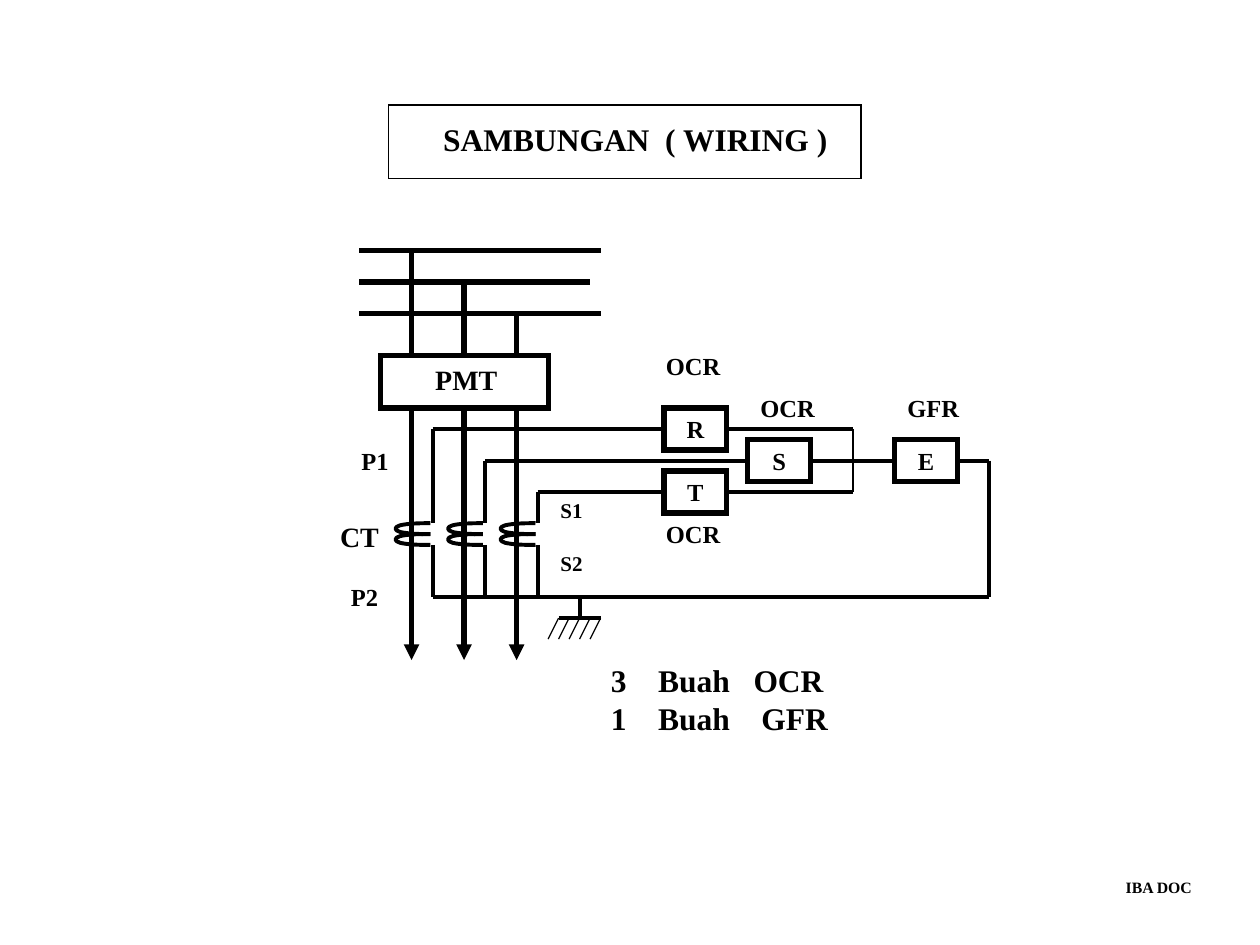
from dataclasses import dataclass

from pptx import Presentation
from pptx.dml.color import RGBColor
from pptx.enum.shapes import MSO_CONNECTOR as Connector, MSO_SHAPE as Shape
from pptx.enum.text import MSO_ANCHOR as Anchor, MSO_AUTO_SIZE as AutoSize, PP_ALIGN as Align
from pptx.oxml.ns import qn
from pptx.oxml.xmlchemy import OxmlElement
from pptx.util import Pt


@dataclass(frozen=True)
class Theme:
    ink: RGBColor = RGBColor(0, 0, 0)
    font: str = "Times New Roman"
    title: int = 18
    large: int = 16
    label: int = 14
    small: int = 12
    footer: int = 9
    bus: float = 3
    wire: float = 2.25
    thin: float = 0.75


THEME = Theme()

# Horizontal positions in points
PHASES = [235.2 + 30 * i for i in range(3)]
SECONDARY_OFFSET = 12
OCR_X, OCR_S_X, GFR_X = 379.4, 427.2, 511.2
JUNCTION_X, RETURN_X, GROUND_X = 487.4, 565.2, 331.2

# Vertical positions in points
BUSES = [143.2 + 18 * i for i in range(3)]
BREAKER_TOP, BREAKER_BOTTOM, FEEDER_END = 203.2, 233.2, 377.2
SECONDARIES = [245.2 + 18 * i for i in range(3)]
COIL_TOP, TURN = 299, 6.2
COIL_BOTTOM = COIL_TOP + 2 * TURN
NEUTRAL_Y, GROUND_Y, HATCH_Y = 341.2, 353.2, 365.2
RELAY_WIDTH, RELAY_HEIGHT = 36, 24

# Start point, then three cubic curves, relative to the phase line and turn top
TURN_CURVE = [
    (10.8, 6.2),
    (3.6, 6.3), (-2.9, 5.9), (-6.5, 5),
    (-10.1, 4), (-10.1, 2.2), (-6.5, 1.2),
    (-2.9, 0.3), (3.6, -0.1), (10.8, 0),
]


def style_line(line, weight):
    line.color.rgb = THEME.ink
    line.width = Pt(weight)


def style_text(paragraph, size):
    font = paragraph.font
    font.name, font.size, font.bold = THEME.font, Pt(size), True
    font.color.rgb = THEME.ink


def add_line(slide, start, end, weight=THEME.wire, arrow=False):
    connector = slide.shapes.add_connector(
        Connector.STRAIGHT, *(Pt(value) for value in (*start, *end)))
    style_line(connector.line, weight)
    properties = connector._element.spPr
    if arrow:
        tail = OxmlElement("a:tailEnd")
        tail.set("type", "triangle")
        properties.get_or_add_ln().append(tail)
    properties.append(OxmlElement("a:effectLst"))


def add_box(slide, bounds, text, size, weight=THEME.bus, left_inset=None, bottom_inset=0):
    """Add an outlined box; its text is centred unless a left inset is given."""
    shape = slide.shapes.add_shape(Shape.RECTANGLE, *(Pt(value) for value in bounds))
    shape.shadow.inherit = False
    shape.fill.background()
    style_line(shape.line, weight)
    miter = OxmlElement("a:miter")
    miter.set("lim", "800000")
    shape._element.spPr.get_or_add_ln().append(miter)
    frame = shape.text_frame
    frame.word_wrap = False
    frame.vertical_anchor = Anchor.MIDDLE
    frame.margin_top, frame.margin_bottom = 0, Pt(bottom_inset)
    paragraph = frame.paragraphs[0]
    paragraph.text = text
    paragraph.alignment = Align.CENTER
    if left_inset is not None:
        frame.margin_left = Pt(left_inset)
        paragraph.alignment = Align.LEFT
    style_text(paragraph, size)


def add_label(slide, left, top, width, text, size=THEME.label):
    box = slide.shapes.add_textbox(Pt(left), Pt(top), Pt(width), Pt(1.2 * size + 7.2))
    frame = box.text_frame
    frame.word_wrap = False
    frame.auto_size = AutoSize.SHAPE_TO_FIT_TEXT
    frame.margin_right = Pt(2)
    frame.text = text
    style_text(frame.paragraphs[0], size)


def add_tab_stops(paragraph, stops):
    tab_list = OxmlElement("a:tabLst")
    for stop in stops:
        tab = OxmlElement("a:tab")
        tab.set("pos", str(Pt(stop)))
        tab.set("algn", "l")
        tab_list.append(tab)
    paragraph._p.get_or_add_pPr().append(tab_list)


def add_summary(slide):
    box = slide.shapes.add_textbox(Pt(342), Pt(374.4), Pt(210.2), Pt(50.4))
    frame = box.text_frame
    frame.word_wrap = True
    rows = [("3\tBuah\tOCR", 81.5), ("1\tBuah\tGFR", 86)]
    for index, (text, last_stop) in enumerate(rows):
        paragraph = frame.add_paragraph() if index else frame.paragraphs[0]
        paragraph.text = text
        add_tab_stops(paragraph, [27, last_stop])
        style_text(paragraph, THEME.title)


def curve_segments(shape):
    """Turn each three straight segments of a freeform into one cubic curve."""
    segments = list(shape._element.iter(qn("a:lnTo")))
    for index in range(0, len(segments), 3):
        curve = OxmlElement("a:cubicBezTo")
        segments[index].addprevious(curve)
        for segment in segments[index:index + 3]:
            curve.append(segment[0])
            segment.getparent().remove(segment)


def add_coil_turn(slide, phase_x, top):
    """Draw one winding, open on the right."""
    points = [(100 * (phase_x + x), 100 * (top + y)) for x, y in TURN_CURVE]
    builder = slide.shapes.build_freeform(*points[0], scale=Pt(1) / 100)
    builder.add_line_segments(points[1:], close=False)
    turn = builder.convert_to_shape()
    curve_segments(turn)
    turn.shadow.inherit = False
    turn.fill.background()
    style_line(turn.line, THEME.wire)


def add_phases(slide):
    for bus_y, bus_end in zip(BUSES, (343.4, 337, 343.4)):
        add_line(slide, (205.2, bus_y), (bus_end, bus_y), THEME.bus)
    for x, bus_y, secondary_y in zip(PHASES, BUSES, SECONDARIES):
        add_line(slide, (x, bus_y), (x, BREAKER_TOP), THEME.bus)
        add_line(slide, (x, BREAKER_BOTTOM), (x, FEEDER_END), THEME.bus, arrow=True)
        for turn in range(2):
            add_coil_turn(slide, x, COIL_TOP + turn * TURN)
        secondary_x = x + SECONDARY_OFFSET
        add_line(slide, (secondary_x, secondary_y), (secondary_x, COIL_TOP))
        add_line(slide, (secondary_x, COIL_BOTTOM), (secondary_x, NEUTRAL_Y))
    add_box(slide, (217.5, BREAKER_TOP, 96, BREAKER_BOTTOM - BREAKER_TOP), "PMT",
            THEME.large, left_inset=31.2, bottom_inset=3.2)


def add_relay(slide, x, y, name):
    add_box(slide, (x, y - RELAY_HEIGHT / 2, RELAY_WIDTH, RELAY_HEIGHT), name, THEME.label)


def add_relays(slide):
    middle_y = SECONDARIES[1]
    for phase_x, y, relay_x, name in zip(
            PHASES, SECONDARIES, (OCR_X, OCR_S_X, OCR_X), "RST"):
        add_line(slide, (phase_x + SECONDARY_OFFSET, y), (relay_x, y))
        add_line(slide, (relay_x + RELAY_WIDTH, y), (JUNCTION_X, y))
        add_relay(slide, relay_x, y, name)
    add_line(slide, (JUNCTION_X, SECONDARIES[0]), (JUNCTION_X, SECONDARIES[-1]), THEME.thin)
    add_line(slide, (JUNCTION_X, middle_y), (GFR_X, middle_y))
    add_relay(slide, GFR_X, middle_y, "E")
    add_line(slide, (GFR_X + RELAY_WIDTH, middle_y), (RETURN_X, middle_y))
    add_line(slide, (RETURN_X, middle_y), (RETURN_X, NEUTRAL_Y))
    add_line(slide, (PHASES[0] + SECONDARY_OFFSET, NEUTRAL_Y), (RETURN_X, NEUTRAL_Y))


def add_ground(slide):
    add_line(slide, (GROUND_X, NEUTRAL_Y), (GROUND_X, GROUND_Y))
    add_line(slide, (GROUND_X - 12, GROUND_Y), (GROUND_X + 12, GROUND_Y))
    for offset in range(-12, 13, 6):
        x = GROUND_X + offset
        add_line(slide, (x, GROUND_Y), (x - 6, HATCH_Y), THEME.thin)


def add_labels(slide):
    for label in [
        (187.2, 293.2, 36.7, "CT", THEME.large),
        (199.4, 251.2, 29.5, "P1"),
        (193.4, 329.2, 29.5, "P2"),
        (313.2, 281, 26.6, "S1", THEME.small),
        (313.2, 311, 26.6, "S2", THEME.small),
        (373.4, 293.2, 45.4, "OCR"),
        (373.4, 197.2, 45.4, "OCR"),
        (427.4, 221.2, 45.4, "OCR"),
        (511.4, 221.2, 43.9, "GFR"),
        (636.2, 498.2, 52.6, "IBA DOC", THEME.footer),
    ]:
        add_label(slide, *label)


def main():
    presentation = Presentation()
    presentation.slide_width, presentation.slide_height = Pt(720), Pt(540)
    slide = presentation.slides.add_slide(presentation.slide_layouts[6])
    add_box(slide, (222, 60, 270, 42), "SAMBUNGAN  ( WIRING )", THEME.title,
            THEME.thin, left_inset=31.2, bottom_inset=3)
    add_phases(slide)
    add_relays(slide)
    add_ground(slide)
    add_labels(slide)
    add_summary(slide)
    presentation.save("out.pptx")


if __name__ == "__main__":
    main()
